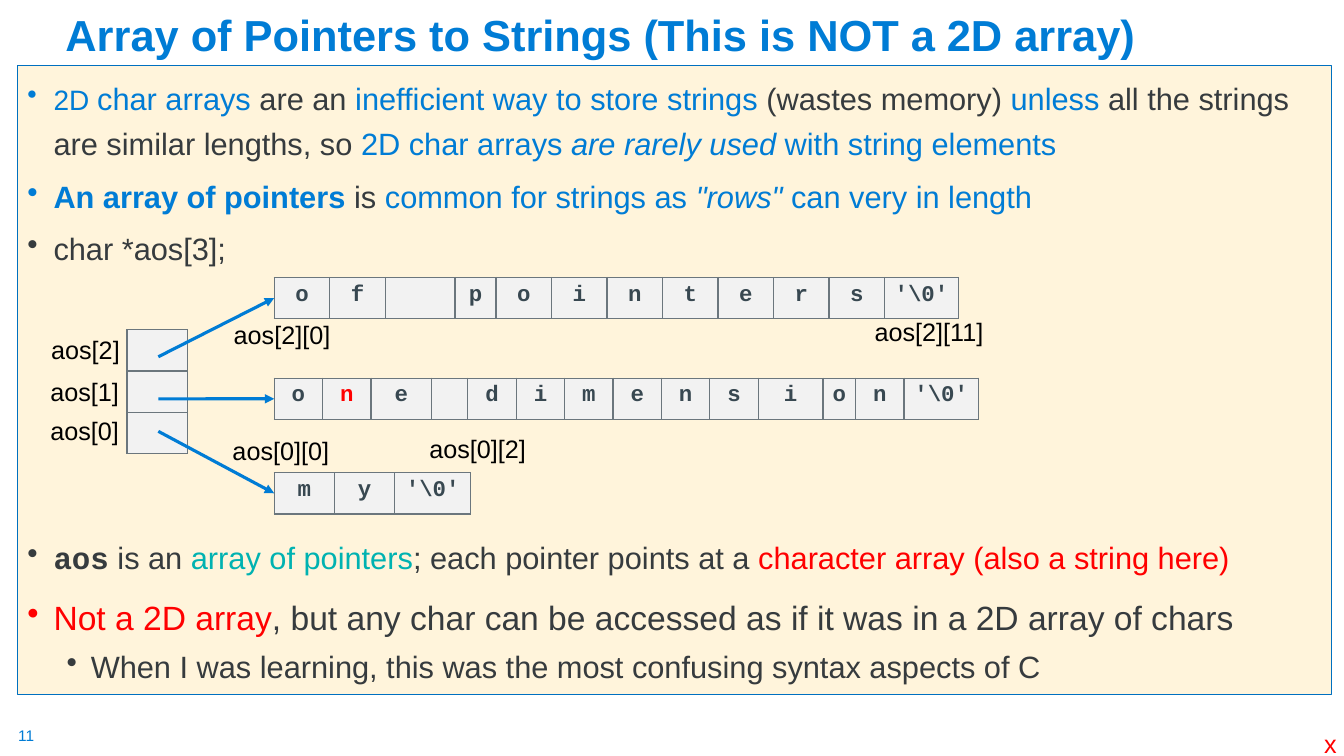
import dataclasses

import lxml.etree
import pptx
import pptx.dml.color
import pptx.enum.shapes
import pptx.enum.text
import pptx.oxml.ns
import pptx.util

Cm = pptx.util.Cm
Pt = pptx.util.Pt
qn = pptx.oxml.ns.qn
ALIGN = pptx.enum.text.PP_ALIGN
ANCHOR = pptx.enum.text.MSO_ANCHOR


@dataclasses.dataclass(frozen=True)
class Theme:
    blue: str = "007CD5"
    frame: str = "0070C0"
    cream: str = "FFF4DB"
    dark: str = "363B3E"
    teal: str = "00B2B1"
    red: str = "FF0000"
    black: str = "000000"
    letter: str = "384851"
    cell: str = "F2F2F2"
    border: str = "6B767D"
    sans: str = "Arial"
    mono: str = "Courier New"
    title: int = 31
    strong: int = 24
    body: int = 22
    small_body: int = 20
    label: int = 18
    code: int = 16
    number: int = 11


theme = Theme()


def rgb(color):
    return pptx.dml.color.RGBColor.from_string(color)


def write(paragraph, text, color=theme.dark, size=theme.body, font=theme.sans,
          bold=False, italic=False):
    run = paragraph.add_run()
    run.text = text
    run.font.name = font
    run.font.size = Pt(size)
    run.font.bold = bold
    run.font.italic = italic
    run.font.color.rgb = rgb(color)


presentation = pptx.Presentation()
presentation.slide_width = Cm(33.87)
presentation.slide_height = Cm(19.05)
slide = presentation.slides.add_slide(presentation.slide_layouts[6])
shapes = slide.shapes

# Body panel
panel = shapes.add_shape(pptx.enum.shapes.MSO_SHAPE.RECTANGLE,
                         Cm(0.44), Cm(1.65), Cm(33.12), Cm(15.85))
panel.shadow.inherit = False
panel.fill.solid()
panel.fill.fore_color.rgb = rgb(theme.cream)
panel.line.color.rgb = rgb(theme.frame)
panel.line.width = Pt(0.75)
panel.text_frame.word_wrap = True
panel.text_frame.vertical_anchor = ANCHOR.TOP

blue = {"color": theme.blue}
red = {"color": theme.red}
strong = {"size": theme.strong}
# Level, space before, line spacing, runs; the diagram sits in the large space
bullets = [
    (0, 0, 1.24, [
        ("2D ", {**blue, "size": theme.small_body}),
        ("char arrays ", blue),
        ("are an ", {}),
        ("inefficient way to store strings ", blue),
        ("(wastes memory) ", {}),
        ("unless", blue),
        (" all the strings are similar lengths, so ", {}),
        ("2D char arrays ", blue),
        ("are rarely used ", {**blue, "italic": True}),
        ("with string elements", blue)]),
    (0, 11, 1, [
        ("An array of pointers ", {**blue, "bold": True}),
        ("is ", {}),
        ("common for strings as ", blue),
        ('"rows" ', {**blue, "italic": True}),
        ("can very in length", blue)]),
    (0, 11, 1, [("char *aos[3];", {})]),
    (0, 194, 1, [
        ("aos", {"font": theme.mono, "bold": True}),
        (" is an ", {}),
        ("array of pointers", {"color": theme.teal}),
        ("; each pointer points at a", {}),
        (" character array (also a string here)", red)]),
    (0, 10, 1.2, [
        ("Not a 2D array", {**red, **strong}),
        (", but any char can be accessed as if it was in a 2D array of chars", strong)]),
    (1, 7.5, 1, [
        ("When I was learning, this was the most confusing syntax aspects of C", {})]),
]
indents = [(Cm(0.66), Cm(-0.66)), (Cm(1.6), Cm(-0.61))]
for index, (level, space_before, line_spacing, runs) in enumerate(bullets):
    frame = panel.text_frame
    paragraph = frame.add_paragraph() if index else frame.paragraphs[0]
    properties = paragraph._p.get_or_add_pPr()
    margin, indent = indents[level]
    properties.set("marL", str(margin))
    properties.set("indent", str(indent))
    lxml.etree.SubElement(properties, qn("a:buChar"), char="•")
    paragraph.level = level
    paragraph.alignment = ALIGN.LEFT
    paragraph.space_before = Pt(space_before)
    paragraph.line_spacing = line_spacing
    for text, style in runs:
        write(paragraph, text, **style)

# Title
title = shapes.add_textbox(Cm(1.4), Cm(0.36), Cm(31.09), Cm(1.3)).text_frame
title.word_wrap = True
title.vertical_anchor = ANCHOR.BOTTOM
title.paragraphs[0].line_spacing = 0.9
write(title.paragraphs[0], "Array of Pointers to Strings (This is NOT a 2D array)",
      color=theme.blue, size=theme.title, bold=True)

# Pointer array and the three strings it points at
ROW_HEIGHT = 1.04
STRING_LEFT = 6.91
POINTER_WIDTH = 1.53
string_tops = [6.99, 9.53, 11.91]
# Left, top, rows of letters, usual column width, other widths by column
tables = [
    (3.2, 8.31, [[""]] * 3, POINTER_WIDTH, {}),
    (STRING_LEFT, string_tops[0], [[*"of", "", *"pointers", r"'\0'"]],
     1.4, {2: 1.76, 3: 1.03, 11: 1.86}),
    (STRING_LEFT, string_tops[1], [[*"one", "", *"dimension", r"'\0'"]],
     1.22, {2: 1.53, 3: 0.91, 10: 1.63, 11: 0.82, 13: 1.88}),
    (STRING_LEFT, string_tops[2], [[*"my", r"'\0'"]], 1.52, {2: 1.91}),
]
for left, top, rows, usual_width, other_widths in tables:
    widths = [other_widths.get(i, usual_width) for i in range(len(rows[0]))]
    table = shapes.add_table(len(rows), len(widths), Cm(left), Cm(top),
                             Cm(sum(widths)), Cm(ROW_HEIGHT * len(rows))).table
    table.first_row = False
    table.horz_banding = False
    for column, width in zip(table.columns, widths):
        column.width = Cm(width)
    for row_index, letters in enumerate(rows):
        table.rows[row_index].height = Cm(ROW_HEIGHT)
        for column_index, letter in enumerate(letters):
            cell = table.cell(row_index, column_index)
            cell.margin_left = cell.margin_right = Cm(0.1)
            for side in ("a:lnL", "a:lnR", "a:lnT", "a:lnB"):
                line = lxml.etree.SubElement(cell._tc.get_or_add_tcPr(), qn(side),
                                             w=str(Pt(1)))
                fill = lxml.etree.SubElement(line, qn("a:solidFill"))
                lxml.etree.SubElement(fill, qn("a:srgbClr"), val=theme.border)
            cell.fill.solid()
            cell.fill.fore_color.rgb = rgb(theme.cell)
            if letter:
                highlighted = top == string_tops[1] and column_index == 1
                paragraph = cell.text_frame.paragraphs[0]
                paragraph.alignment = ALIGN.CENTER
                write(paragraph, letter, size=theme.code, font=theme.mono, bold=True,
                      color=theme.red if highlighted else theme.letter)

# Arrows from each pointer to its string
for start, string_top in zip([8.99, 10.05, 10.87], string_tops):
    arrow = shapes.add_connector(pptx.enum.shapes.MSO_CONNECTOR.STRAIGHT,
                                 Cm(3.99), Cm(start),
                                 Cm(STRING_LEFT), Cm(string_top + ROW_HEIGHT / 2))
    arrow.line.color.rgb = rgb(theme.blue)
    arrow.line.width = Pt(2.25)
    lxml.etree.SubElement(arrow.line._get_or_add_ln(), qn("a:tailEnd"), type="triangle")
    lxml.etree.SubElement(arrow._element.spPr, qn("a:effectLst"))

# Index labels, corner mark and slide number
labels = [
    ("aos[2]", 1.04, 8.31, 2.26, theme.black),
    ("aos[1]", 1.02, 9.35, 2.26, theme.black),
    ("aos[0]", 1.02, 10.34, 2.26, theme.black),
    ("aos[0][0]", 5.61, 10.85, 2.97, theme.black),
    ("aos[0][2]", 10.57, 10.8, 2.97, theme.black),
    ("aos[2][0]", 5.64, 7.92, 2.97, theme.black),
    ("aos[2][11]", 21.79, 7.85, 3.28, theme.black),
    ("x", 33.12, 18.24, 0.84, theme.red),
]
for text, left, top, width, color in labels:
    label = shapes.add_textbox(Cm(left), Cm(top), Cm(width), Cm(1.02)).text_frame
    label.word_wrap = False
    write(label.paragraphs[0], text, color=color, size=theme.label)

number = shapes.add_textbox(Cm(0.46), Cm(18.31), Cm(0.48), Cm(0.48)).text_frame
number.word_wrap = False
number.margin_left = number.margin_right = number.margin_top = number.margin_bottom = 0
write(number.paragraphs[0], "11", color=theme.blue, size=theme.number)

presentation.save("out.pptx")
